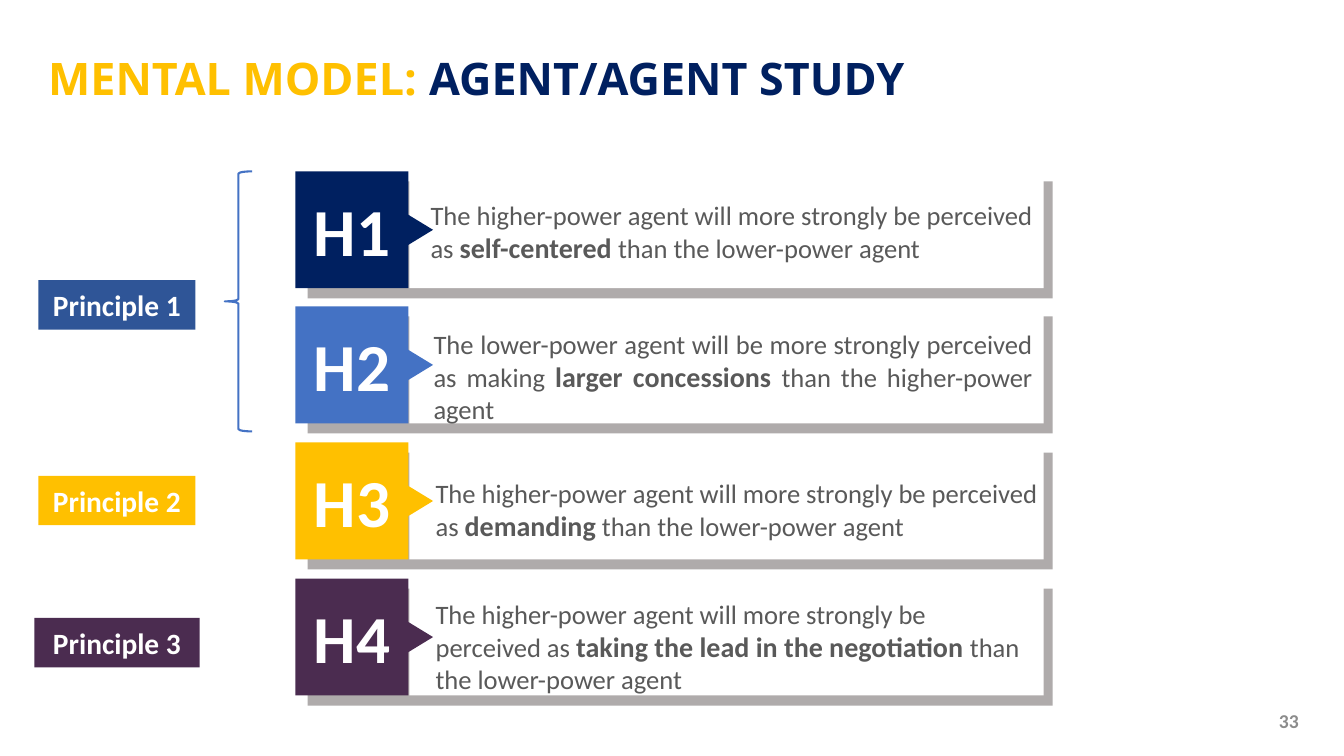
import pptx
import pptx.dml.color
import pptx.enum.shapes
import pptx.enum.text
import pptx.util

RGBColor = pptx.dml.color.RGBColor
SHAPE = pptx.enum.shapes.MSO_SHAPE
ALIGN = pptx.enum.text.PP_ALIGN
ANCHOR = pptx.enum.text.MSO_ANCHOR
AUTO_SIZE = pptx.enum.text.MSO_AUTO_SIZE

NAVY = RGBColor(0x00, 0x20, 0x60)
BLUE = RGBColor(0x44, 0x72, 0xC4)
DARK_BLUE = RGBColor(0x2F, 0x55, 0x97)
GOLD = RGBColor(0xFF, 0xC0, 0x00)
PLUM = RGBColor(0x4B, 0x2C, 0x50)
SHADOW_GREY = RGBColor(0xAF, 0xAB, 0xAB)
TEXT_GREY = RGBColor(0x59, 0x59, 0x59)
NUMBER_GREY = RGBColor(0x8C, 0x8C, 0x8C)
WHITE = RGBColor(0xFF, 0xFF, 0xFF)

EMU_PER_PX = 9144  # 100 px to the inch


def px(length):
    return pptx.util.Emu(length * EMU_PER_PX)


class SlideBuilder:
    body_font = "Calibri"
    title_font = "Open Sans"

    def __init__(self, slide):
        self.slide = slide

    def add_spans(self, shape, spans, align=ALIGN.LEFT, anchor=ANCHOR.MIDDLE,
                  insets=(10, 5), font=body_font):
        """Fill a shape with one paragraph of (text, size, colour, bold) spans."""
        frame = shape.text_frame
        frame.word_wrap = True
        frame.vertical_anchor = anchor
        frame.margin_left = frame.margin_right = px(insets[0])
        frame.margin_top = frame.margin_bottom = px(insets[1])
        para = frame.paragraphs[0]
        para.alignment = align
        for text, size, colour, bold in spans:
            span = para.add_run()
            span.text = text
            span.font.name = font
            span.font.size = pptx.util.Pt(size)
            span.font.color.rgb = colour
            span.font.bold = bold

    def text(self, box, spans, **style):
        shape = self.slide.shapes.add_textbox(*map(px, box))
        self.add_spans(shape, spans, **style)
        return shape

    def block(self, box, fill, kind=SHAPE.RECTANGLE, parent=None):
        shapes = (parent or self.slide).shapes
        shape = shapes.add_shape(kind, *map(px, box))
        shape.shadow.inherit = False
        shape.fill.solid()
        shape.fill.fore_color.rgb = fill
        shape.line.fill.background()
        return shape

    def label(self, box, fill, caption, size, parent=None):
        shape = self.block(box, fill, parent=parent)
        self.add_spans(shape, [(caption, size, WHITE, True)],
                       align=ALIGN.CENTER, insets=(7, 4))

    def card(self, top, fill, caption):
        group = self.slide.shapes.add_group_shape()
        self.block((406, top, 629, 116), WHITE, parent=group)
        self.label((293, top, 112, 116), fill, caption, 48, parent=group)
        pointer = self.block((394, top + 42, 39, 32), fill,
                             SHAPE.ISOSCELES_TRIANGLE, parent=group)
        pointer.rotation = 90

    def statement(self, box, before, key, after, align):
        shape = self.text(box, [(before, 19, TEXT_GREY, False),
                                (key, 20, TEXT_GREY, True),
                                (after, 19, TEXT_GREY, False)],
                          align=align, anchor=ANCHOR.TOP, insets=(0, 5))
        shape.text_frame.auto_size = AUTO_SIZE.SHAPE_TO_FIT_TEXT

    def brace(self, box, colour):
        shape = self.slide.shapes.add_shape(SHAPE.LEFT_BRACE, *map(px, box))
        shape.shadow.inherit = False
        shape.fill.background()
        shape.line.color.rgb = colour
        shape.line.width = pptx.util.Pt(1.5)


HIGHER = "The higher-power agent will more strongly be perceived as "
LOWER = "The lower-power agent will be more strongly perceived as making "
THAN_LOWER = "than the lower-power agent"

# Card colour, statement box, three text spans, alignment
HYPOTHESES = [
    (NAVY, (427, 192, 608, 76), HIGHER, "self-centered ", THAN_LOWER, ALIGN.LEFT),
    (BLUE, (430, 320, 594, 108), LOWER, "larger concessions ",
     "than the higher-power agent", ALIGN.JUSTIFY),
    (GOLD, (432, 468, 598, 76), HIGHER, "demanding", " " + THAN_LOWER, ALIGN.LEFT),
    (PLUM, (432, 588, 592, 108), HIGHER, "taking the lead in the negotiation ",
     THAN_LOWER, ALIGN.LEFT),
]
PRINCIPLES = [
    ((38, 278, 156, 49), DARK_BLUE),
    ((38, 472, 156, 49), GOLD),
    ((34, 613, 164, 49), PLUM),
]


def main():
    deck = pptx.Presentation()
    deck.slide_width, deck.slide_height = px(1333), px(750)
    page = SlideBuilder(deck.slides.add_slide(deck.slide_layouts[6]))

    # Title
    title = page.text((38, 22, 1150, 116),
                      [("MENTAL MODEL: ", 32, GOLD, True),
                       ("AGENT/AGENT STUDY", 32, NAVY, True)],
                      font=page.title_font)
    title.text_frame.paragraphs[0].line_spacing = 0.9

    # Hypothesis cards over their offset shadows
    tops = [170 + row * 404 // 3 for row in range(len(HYPOTHESES))]
    for top in tops:
        page.block((305, top + 10, 739, 116), SHADOW_GREY)
    for number, (top, hypothesis) in enumerate(zip(tops, HYPOTHESES), start=1):
        page.card(top, hypothesis[0], f"H{number}")
    for _, *statement in HYPOTHESES:
        page.statement(*statement)

    # Slide number
    page.text((998, 695, 300, 40), [("33", 14, NUMBER_GREY, True)],
              align=ALIGN.RIGHT)

    # Principles, the first spanning two hypotheses
    for number, (box, fill) in enumerate(PRINCIPLES, start=1):
        page.label(box, fill, f"Principle {number}", 21)
    page.brace((223, 170, 27, 258), BLUE)

    deck.save("out.pptx")


if __name__ == "__main__":
    main()
